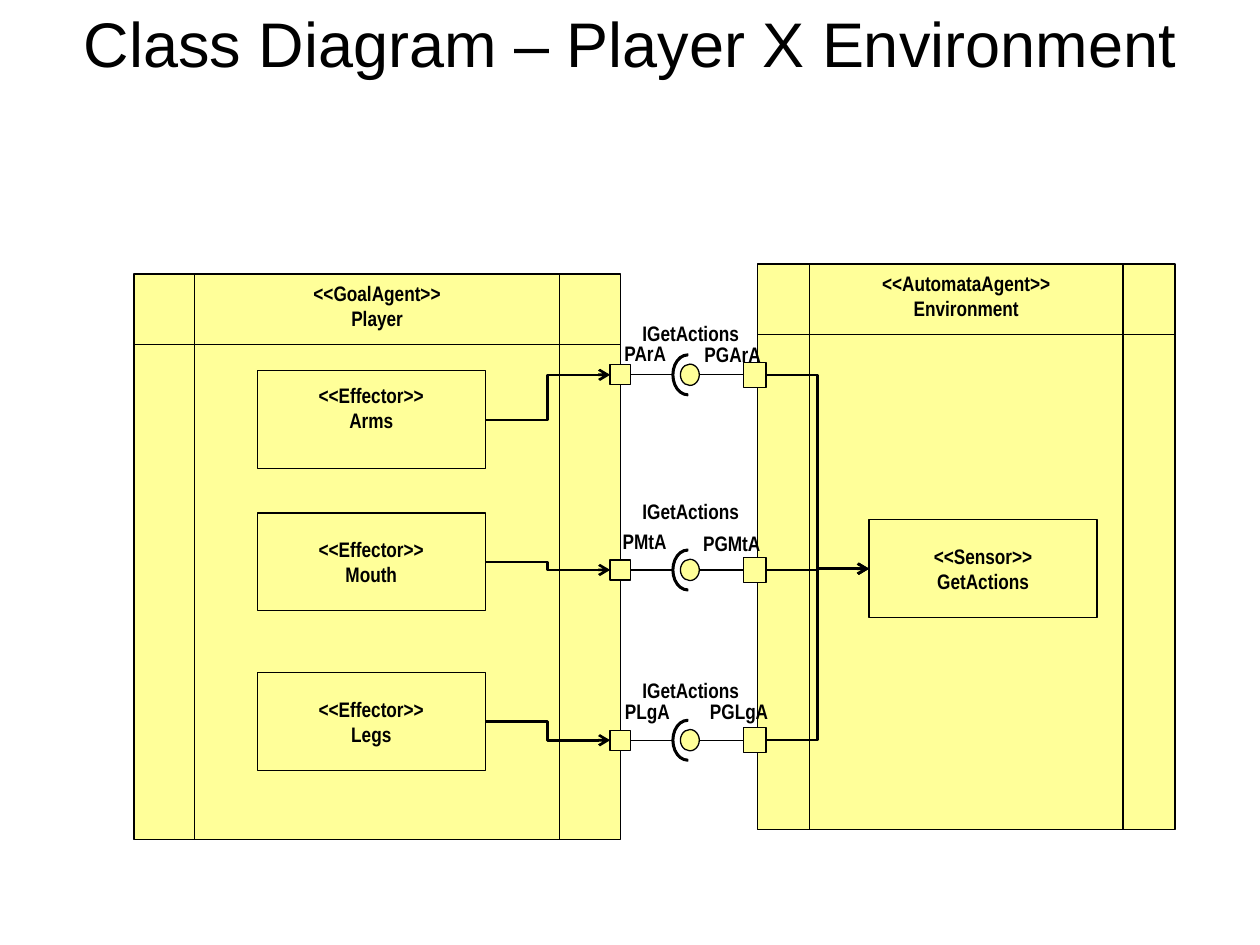
from dataclasses import dataclass

from lxml.etree import SubElement
from pptx import Presentation
from pptx.dml.color import RGBColor
from pptx.enum.shapes import MSO_CONNECTOR as Link, MSO_SHAPE as Shape
from pptx.enum.text import MSO_ANCHOR as Anchor, MSO_AUTO_SIZE as AutoSize, PP_ALIGN as Align
from pptx.oxml.ns import qn
from pptx.util import Pt


@dataclass(frozen=True)
class Theme:
    fill: RGBColor = RGBColor(0xFF, 0xFF, 0x99)
    ink: RGBColor = RGBColor(0, 0, 0)
    title_font: str = "Arial"
    label_font: str = "Arial Narrow"
    title_size: float = 36
    label_size: float = 12
    thin: float = 0.75
    thick: float = 1.5


THEME = Theme()
TITLE_FORMAT = dict(name=THEME.title_font, size=Pt(THEME.title_size), bold=False)
LABEL_FORMAT = dict(name=THEME.label_font, size=Pt(THEME.label_size), bold=True)
LEFT_SITE, RIGHT_SITE = 1, 3

TITLE = "Class Diagram – Player X Environment"
# stereotype, name, left, top, width, height
AGENTS = [
    ("GoalAgent", "Player", 76.5, 156.5, 278, 323.3),
    ("AutomataAgent", "Environment", 432.8, 150.8, 238.7, 323.3),
]
# effector name, its top, axis of its interface
EFFECTORS = [("Arms", 211.9, 214.2), ("Mouth", 293.1, 325.7), ("Legs", 384.3, 423)]
# text, left, top, width
LABELS = [
    ("IGetActions", 360, 179.5, 69.5),
    ("PArA", 349.7, 190.8, 39),
    ("PGArA", 395.5, 191.5, 47),
    ("IGetActions", 360, 281.3, 69.5),
    ("PMtA", 348.7, 298.3, 39.5),
    ("PGMtA", 394.7, 299.4, 47),
    ("IGetActions", 360, 383.5, 69.5),
    ("PLgA", 350, 395.5, 40),
    ("PGLgA", 398.6, 395.5, 47.5),
]
NODE_WIDTH, NODE_HEIGHT = 130.3, 56
HEADER_HEIGHT = 40.4


def write(frame, lines, font_format, align):
    for index, line in enumerate(lines):
        para = frame.paragraphs[0] if index == 0 else frame.add_paragraph()
        para.alignment = align
        span = para.add_run()
        span.text = line
        for key, value in font_format.items():
            setattr(span.font, key, value)
        span.font.color.rgb = THEME.ink


def add_title(page):
    title = page.shapes.title
    for key, value in dict(left=36, top=2, width=648, height=44).items():
        setattr(title, key, Pt(value))
    title.text_frame.vertical_anchor = Anchor.MIDDLE
    write(title.text_frame, [TITLE], TITLE_FORMAT, Align.CENTER)


def add_outline(page, kind, left, top, width, height, fill=THEME.fill):
    shape = page.shapes.add_shape(kind, Pt(left), Pt(top), Pt(width), Pt(height))
    shape.shadow.inherit = False
    shape.fill.solid()
    shape.fill.fore_color.rgb = fill
    shape.line.color.rgb = THEME.ink
    shape.line.width = Pt(THEME.thin)
    return shape


def add_centred(page, kind, x, y, width, height, **options):
    return add_outline(page, kind, x - width / 2, y - height / 2, width, height, **options)


def add_line(page, start, end, kind=Link.STRAIGHT, width=THEME.thin):
    line = page.shapes.add_connector(kind, *map(Pt, (*start, *end)))
    line.line.color.rgb = THEME.ink
    line.line.width = Pt(width)
    SubElement(line._element.spPr, qn("a:effectLst"))
    return line


def add_arrow(page, source, target):
    """Run an elbow arrow from the right side of source to the left side of target."""
    arrow = add_line(page, (0, 0), (0, 0), Link.ELBOW, THEME.thick)
    arrow.begin_connect(source, RIGHT_SITE)
    arrow.end_connect(target, LEFT_SITE)
    outline = arrow._element.spPr.find(qn("a:ln"))
    SubElement(outline, qn("a:tailEnd"), type="arrow")


def add_node(page, kind, stereotype, name, box, anchor=Anchor.MIDDLE):
    node = add_outline(page, kind, *box)
    frame = node.text_frame
    frame.word_wrap = False
    frame.vertical_anchor = anchor
    write(frame, [f"<<{stereotype}>>", name], LABEL_FORMAT, Align.CENTER)
    return node


def add_agent(page, stereotype, name, left, top, width, height):
    box = (left, top, width, height)
    add_node(page, Shape.FLOWCHART_PREDEFINED_PROCESS, stereotype, name, box, Anchor.TOP)
    divider = top + HEADER_HEIGHT
    add_line(page, (left, divider), (left + width, divider))


def add_component(page, stereotype, name, left, top):
    box = (left, top, NODE_WIDTH, NODE_HEIGHT)
    return add_node(page, Shape.RECTANGLE, stereotype, name, box)


def add_interface(page, y):
    """Draw port, socket, ball and port along y; return the two ports."""
    required = add_centred(page, Shape.RECTANGLE, 354.4, y, 11.5, 11.5)
    provided = add_centred(page, Shape.RECTANGLE, 431.2, y, 13, 14.4)
    add_line(page, (360.2, y), (384.5, y))
    add_line(page, (399.6, y), (424.7, y))
    add_centred(page, Shape.OVAL, 394.2, y, 10.8, 12.2)
    socket = add_centred(page, Shape.BLOCK_ARC, 393, y, 23.8, 18, fill=THEME.ink)
    socket.rotation = 270
    for index, value in enumerate((108, 0, 0.056)):
        socket.adjustments[index] = value
    return required, provided


def add_label(page, text, left, top, width):
    box = page.shapes.add_textbox(Pt(left), Pt(top), Pt(width), Pt(21.6))
    box.text_frame.word_wrap = False
    box.text_frame.auto_size = AutoSize.SHAPE_TO_FIT_TEXT
    write(box.text_frame, [text], LABEL_FORMAT, Align.LEFT)


def main():
    deck = Presentation()
    deck.slide_width, deck.slide_height = Pt(720), Pt(540)
    page = deck.slides.add_slide(deck.slide_layouts[5])
    add_title(page)
    for agent in AGENTS:
        add_agent(page, *agent)
    sensor = add_component(page, "Sensor", "GetActions", 496.6, 297)
    for name, top, axis in EFFECTORS:
        effector = add_component(page, "Effector", name, 147, top)
        if name == "Arms":
            effector.text_frame.vertical_anchor = Anchor.TOP
            effector.text_frame.margin_top = Pt(6.5)
        required, provided = add_interface(page, axis)
        add_arrow(page, effector, required)
        add_arrow(page, provided, sensor)
    for label in LABELS:
        add_label(page, *label)
    deck.save("out.pptx")


if __name__ == "__main__":
    main()
